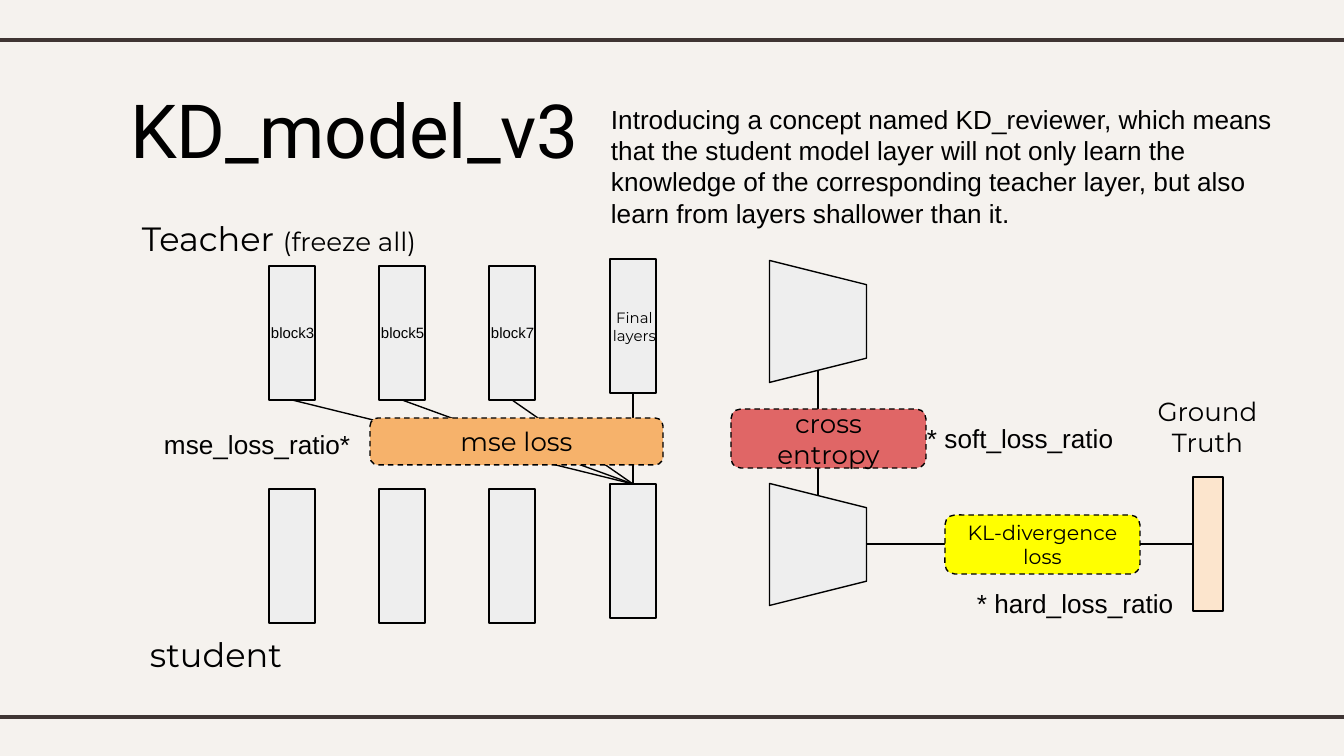
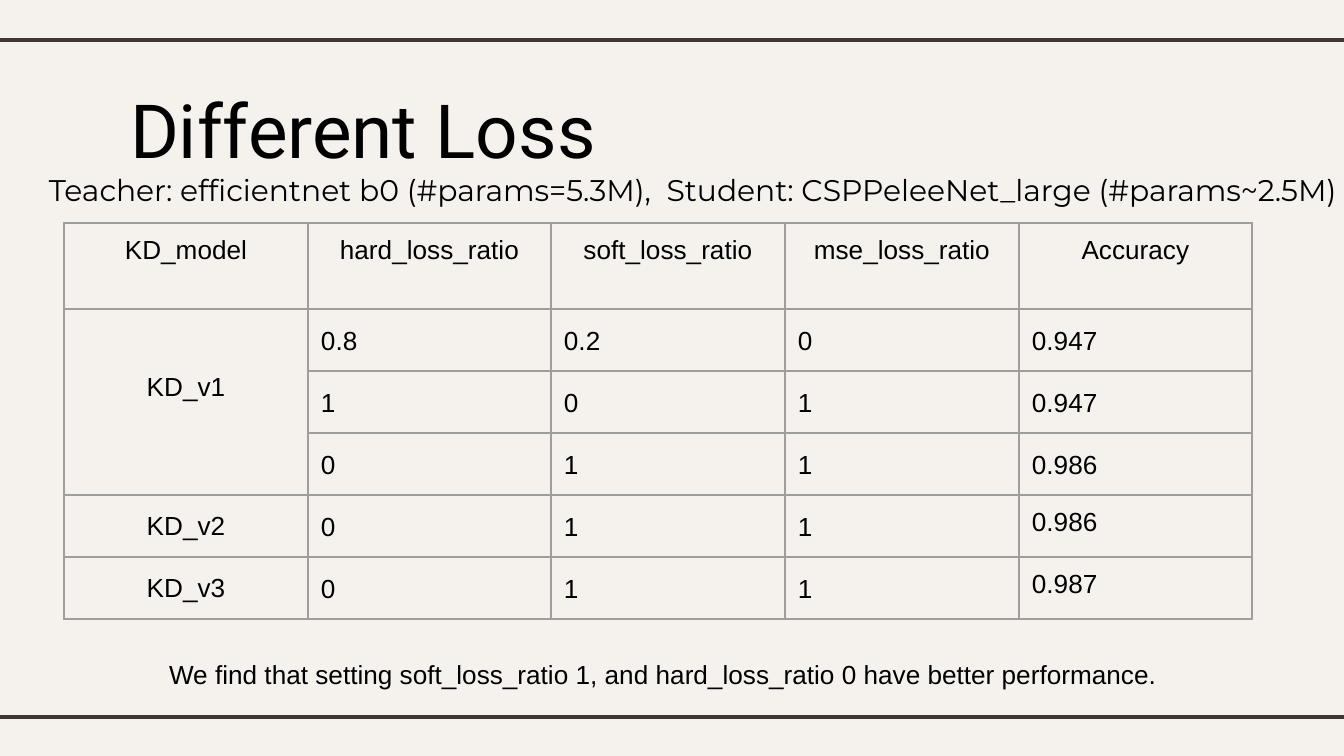
from dataclasses import dataclass
from lxml.etree import SubElement
from pptx import Presentation
from pptx.dml.color import RGBColor
from pptx.enum.dml import MSO_LINE
from pptx.enum.shapes import MSO_CONNECTOR, MSO_SHAPE
from pptx.enum.text import MSO_ANCHOR, PP_ALIGN
from pptx.oxml.ns import qn
from pptx.util import Inches, Pt


@dataclass(frozen=True)
class Theme:
    back: str = "F5F2EE"
    band: str = "3F3533"
    ink: str = "000000"
    block: str = "EEEEEE"
    truth: str = "FCE5CD"
    mse: str = "F6B26B"
    cross: str = "E06666"
    kl: str = "FFFF00"
    grid: str = "9E9E9E"
    head: str = "Roboto"
    soft: str = "Montserrat"
    plain: str = "Arial"
    title: int = 40
    role: int = 18
    sub: int = 16
    body: int = 14
    small: int = 11
    tiny: int = 8
    thin: float = 0.75
    thick: float = 2.25


T = Theme()
WIDE, HIGH = 1344, 756
SCALE = Inches(10) / WIDE
PAD, SLIM = 13, 7

BANDS = (40, 717)
TITLE = (117, 71, 1114, 129)
BLOCK = (46, 134)
COLS = [269 + 110 * i for i in range(3)]
LAST = 610
TEACH, STUD = 266, 489
FINAL = (259, 484)
TRAPS = (273, 496)
NAMES = ("block3", "block5", "block7")
TRUTH = (1193, 477, 30, 134)

LOSSES = [
    ((370, 418, 293, 47), "mse loss", T.mse, T.body),
    ((731, 409, 195, 59), "cross entropy", T.cross, T.body),
    ((945, 515, 195, 59), "KL-divergence loss", T.kl, T.small),
]
NOTES = [
    ((137, 624, 367, 23), "student", T.role, T.soft, PP_ALIGN.LEFT, PAD),
    ((129, 208, 367, 23), [("Teacher ", T.role), ("(freeze all)", T.body)],
     T.role, T.soft, PP_ALIGN.LEFT, PAD),
    ((1110, 382, 195, 39), "Ground Truth", T.body, T.soft, PP_ALIGN.CENTER, PAD),
    ((964, 574, 360, 59), "* hard_loss_ratio", T.body, T.plain, PP_ALIGN.LEFT, PAD),
    ((914, 409, 360, 59), "* soft_loss_ratio", T.body, T.plain, PP_ALIGN.LEFT, PAD),
    ((151, 415, 360, 59), "mse_loss_ratio*", T.body, T.plain, PP_ALIGN.LEFT, PAD),
    ((598, 96, 708, 140),
     "Introducing a concept named KD_reviewer, which means that the student model "
     "layer will not only learn the knowledge of the corresponding teacher layer, "
     "but also learn from layers shallower than it.",
     T.body, T.plain, PP_ALIGN.LEFT, SLIM),
]

MODELS = ("Teacher: efficientnet b0 (#params=5.3M),  "
          "Student: CSPPeleeNet_large (#params~2.5M)")
ROWS = [
    ("KD_model", "hard_loss_ratio", "soft_loss_ratio", "mse_loss_ratio", "Accuracy"),
    ("KD_v1", "0.8", "0.2", "0", "0.947"),
    ("", "1", "0", "1", "0.947"),
    ("", "0", "1", "1", "0.986"),
    ("KD_v2", "0", "1", "1", "0.986"),
    ("KD_v3", "0", "1", "1", "0.987"),
]
WIDTHS = (244, 243, 234, 234, 233)
TALLS = [86] + [60] * 5
FOUND = ("We find that setting soft_loss_ratio 1, and hard_loss_ratio 0 "
         "have better performance.")


def px(n):
    return round(n * SCALE)


def box(vals):
    return [px(v) for v in vals]


def tint(code):
    return RGBColor.from_string(code)


def write(frame, text, size, face, align=PP_ALIGN.LEFT):
    para = frame.paragraphs[0]
    para.alignment = align
    para.font.size = Pt(size)
    para.font.name = face
    para.font.color.rgb = tint(T.ink)
    runs = [(text, None)] if isinstance(text, str) else text
    for words, pts in runs:
        run = para.add_run()
        run.text = words
        if pts:
            run.font.size = Pt(pts)
    return para


def inset(part, top):
    part.margin_left = part.margin_right = px(PAD)
    part.margin_top = part.margin_bottom = px(top)


def label(slide, area, text, size, face, align=PP_ALIGN.LEFT, top=PAD):
    frame = slide.shapes.add_textbox(*box(area)).text_frame
    frame.word_wrap = True
    inset(frame, top)
    write(frame, text, size, face, align)


def shape(slide, kind, area, fill):
    item = slide.shapes.add_shape(kind, *box(area))
    item.shadow.inherit = False
    item.fill.solid()
    item.fill.fore_color.rgb = tint(fill)
    item.line.color.rgb = tint(T.ink)
    item.line.width = Pt(T.thin)
    return item


def line(slide, ends, color=T.ink, width=T.thin):
    item = slide.shapes.add_connector(MSO_CONNECTOR.STRAIGHT, *box(ends))
    item.line.color.rgb = tint(color)
    item.line.width = Pt(width)
    SubElement(item._element.spPr, qn("a:effectLst"))


def page(deck, title):
    slide = deck.slides.add_slide(deck.slide_layouts[6])
    for y in BANDS:
        line(slide, (0, y, WIDE, y), T.band, T.thick)
    label(slide, TITLE, title, T.title, T.head)
    return slide


def model(deck):
    slide = page(deck, "KD_model_v3")
    wide, tall = BLOCK
    spots = [(x, y) for y in (TEACH, STUD) for x in COLS]
    spots += [(LAST, y) for y in FINAL]
    for spot in spots:
        shape(slide, MSO_SHAPE.RECTANGLE, spot + BLOCK, T.block)
    for y in TRAPS:
        trap = shape(slide, MSO_SHAPE.TRAPEZOID, (757, y, 122, 97), T.block)
        trap.rotation = 90
    shape(slide, MSO_SHAPE.RECTANGLE, TRUTH, T.truth)

    goal = LAST + wide // 2
    for x, y in [(x, TEACH) for x in COLS] + [(LAST, FINAL[0])]:
        line(slide, (x + wide // 2, y + tall, goal, FINAL[1]))
    line(slide, (818, 370, 818, 496))
    line(slide, (866, 544, 945, 544))
    line(slide, (1140, 544, 1193, 544))

    for area, text, fill, size in LOSSES:
        loss = shape(slide, MSO_SHAPE.ROUNDED_RECTANGLE, area, fill)
        loss.line.dash_style = MSO_LINE.DASH
        frame = loss.text_frame
        frame.word_wrap = True
        frame.vertical_anchor = MSO_ANCHOR.MIDDLE
        inset(frame, PAD)
        write(frame, text, size, T.soft, PP_ALIGN.CENTER)
    for note in NOTES:
        label(slide, *note)
    for x, name in zip(COLS, NAMES):
        label(slide, (x - 11, 317, 105, 32), name, T.tiny, T.plain, top=SLIM)
    label(slide, (LAST - 28, 302, 105, 50), "Final layers", T.tiny, T.soft,
          PP_ALIGN.CENTER, SLIM)


def edge(cell):
    props = cell._tc.get_or_add_tcPr()
    for side in ("lnL", "lnR", "lnT", "lnB"):
        rule = SubElement(props, qn("a:" + side), w=str(Pt(T.thin)))
        fill = SubElement(rule, qn("a:solidFill"))
        SubElement(fill, qn("a:srgbClr"), val=T.grid)


def scores(deck):
    slide = page(deck, "Different Loss")
    label(slide, (36, 159, 1376, 50), MODELS, T.sub, T.soft)
    area = (64, 223, sum(WIDTHS), sum(TALLS))
    table = slide.shapes.add_table(len(ROWS), len(WIDTHS), *box(area)).table
    table.first_row = table.horz_banding = False
    for col, wide in zip(table.columns, WIDTHS):
        col.width = px(wide)
    for row, tall in zip(table.rows, TALLS):
        row.height = px(tall)
    for r, row in enumerate(ROWS):
        for c, text in enumerate(row):
            cell = table.cell(r, c)
            edge(cell)
            cell.fill.background()
            inset(cell, PAD)
            mid = r == 0 or c == 0
            align = PP_ALIGN.CENTER if mid else PP_ALIGN.LEFT
            para = write(cell.text_frame, text, T.body, T.plain, align)
            if c == 0 and r > 0:
                cell.vertical_anchor = MSO_ANCHOR.MIDDLE
            if not mid and not (c == 4 and r > 3):
                para.line_spacing = 1.15
    first = table.cell(1, 0)
    first.merge(table.cell(3, 0))
    first.margin_bottom = px(43)
    label(slide, (156, 651, 1038, 50), FOUND, T.body, T.plain, top=SLIM)


def main():
    deck = Presentation()
    deck.slide_width, deck.slide_height = px(WIDE), px(HIGH)
    fill = deck.slide_master.background.fill
    fill.solid()
    fill.fore_color.rgb = tint(T.back)
    model(deck)
    scores(deck)
    deck.save("out.pptx")


if __name__ == "__main__":
    main()
